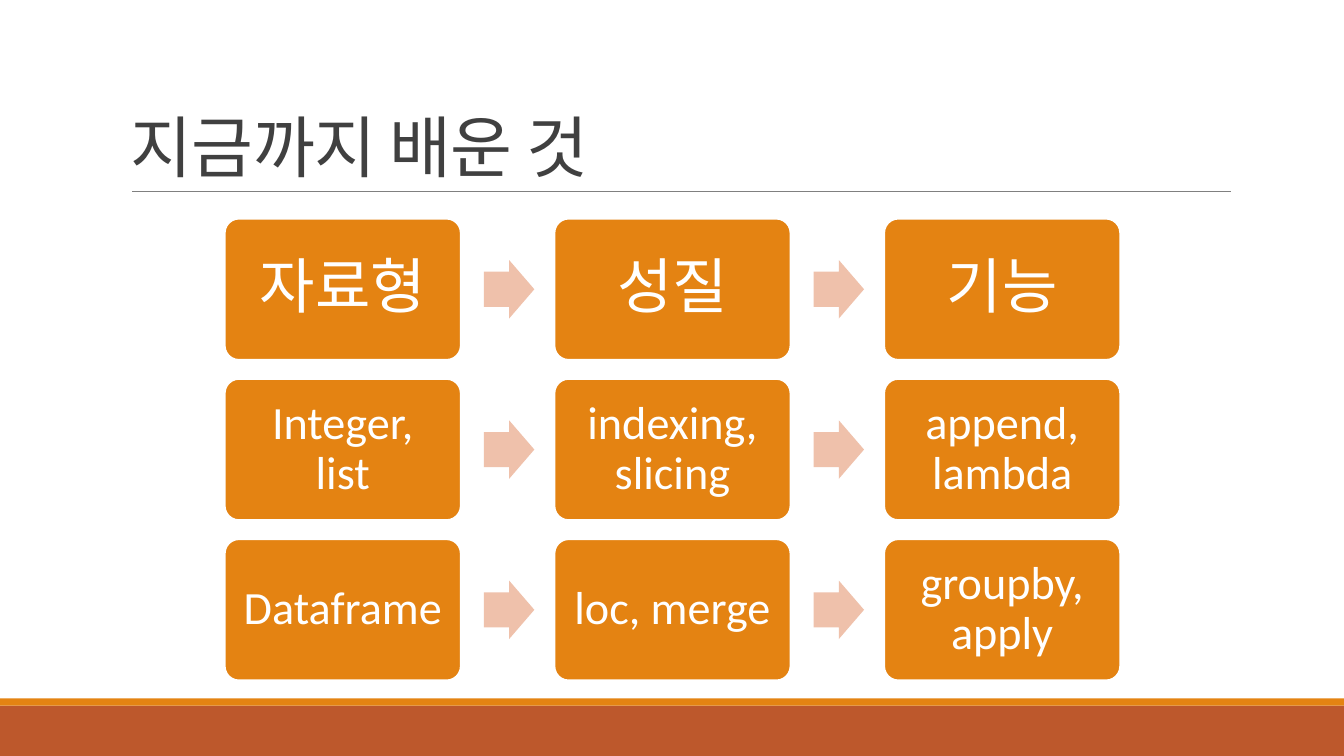
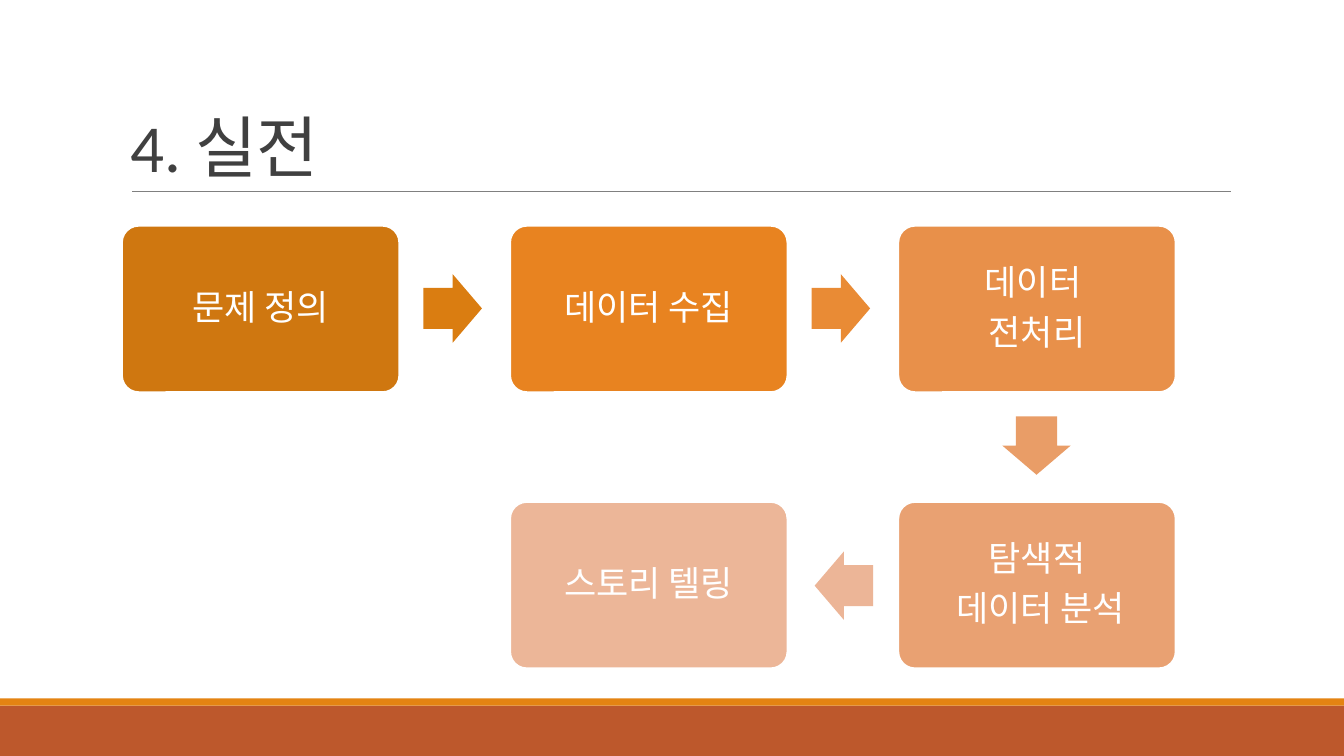
from pptx import Presentation
from pptx.dml.color import RGBColor
from pptx.enum.shapes import MSO_CONNECTOR as Link, MSO_SHAPE as Kind
from pptx.enum.text import MSO_ANCHOR as Anchor, PP_ALIGN as Align
from pptx.oxml.ns import qn
from pptx.util import Inches, Pt
from lxml.etree import SubElement

FONT = "Calibri"
HUES = {
    "rust": "BD582C", "gold": "E48312", "rule": "808080", "title": "404040",
    "white": "FFFFFF", "blush": "EFC1AB",
}

deck = Presentation()
deck.slide_width = Inches(13.33)
deck.slide_height = Inches(7.5)


def add_block(slide, kind, x, y, w, h, fill, edge=None):
    block = slide.shapes.add_shape(kind, Inches(x), Inches(y), Inches(w), Inches(h))
    block.shadow.inherit = False
    block.fill.solid()
    block.fill.fore_color.rgb = RGBColor.from_string(fill)
    if edge:
        block.line.color.rgb = RGBColor.from_string(edge)
        block.line.width = Pt(1.25)
    else:
        block.line.fill.background()
    if kind == Kind.RIGHT_ARROW:
        block.adjustments[0] = 0.6
        block.adjustments[1] = 0.5
    return block


def add_card(slide, x, y, w, h, fill, text, size, inset):
    card = add_block(slide, Kind.ROUNDED_RECTANGLE, x, y, w, h, fill, HUES["white"])
    card.adjustments[0] = 0.1
    frame = card.text_frame
    frame.word_wrap = True
    frame.vertical_anchor = Anchor.MIDDLE
    frame.margin_left = frame.margin_right = Inches(inset)
    frame.margin_top = frame.margin_bottom = Inches(inset)
    frame.text = text
    for para in frame.paragraphs:
        para.alignment = Align.CENTER
        para.line_spacing = 0.9
        after = SubElement(para._p.get_or_add_pPr(), qn("a:spcAft"))
        SubElement(after, qn("a:spcPct")).set("val", "35000")
        para.font.name = FONT
        para.font.size = Pt(size)
        para.font.color.rgb = RGBColor.from_string(HUES["white"])


slides = []
for title in ["지금까지 배운 것", "4. 실전"]:
    slide = deck.slides.add_slide(deck.slide_layouts[6])
    slides.append(slide)
    add_block(slide, Kind.RECTANGLE, 0, 7, 13.33, 0.5, HUES["rust"])
    add_block(slide, Kind.RECTANGLE, 0, 6.93, 13.33, 0.07, HUES["gold"])
    rule = slide.shapes.add_connector(
        Link.STRAIGHT, Inches(1.31), Inches(1.9), Inches(12.21), Inches(1.9))
    rule.line.color.rgb = RGBColor.from_string(HUES["rule"])
    rule.line.width = Pt(0.5)
    SubElement(rule._element.spPr, qn("a:effectLst"))
    box = slide.shapes.add_textbox(Inches(1.2), Inches(0.31), Inches(11), Inches(1.59))
    frame = box.text_frame
    frame.word_wrap = True
    frame.vertical_anchor = Anchor.BOTTOM
    frame.text = title
    para = frame.paragraphs[0]
    para.line_spacing = 0.85
    para.font.name = FONT
    para.font.size = Pt(48)
    para.font.color.rgb = RGBColor.from_string(HUES["title"])
    para.runs[0]._r.get_or_add_rPr().set("spc", "-50")

learned, steps = slides

rows = [
    (["자료형", "성질", "기능"], 43, 0.18),
    (["Integer, list", "indexing, slicing", "append, lambda"], 33, 0.14),
    (["Dataframe", "loc, merge", "groupby, apply"], 33, 0.14),
]
for row, (words, size, inset) in enumerate(rows):
    y = 2.17 + 1.59 * row
    for col, text in enumerate(words):
        x = 2.23 + 3.27 * col
        add_card(learned, x, y, 2.34, 1.4, HUES["gold"], text, size, inset)
        if col < 2:
            add_block(learned, Kind.RIGHT_ARROW, x + 2.57, y + 0.41, 0.5, 0.58, HUES["blush"])

flow = [
    (0, 0, "CF7710", "문제 정의"),
    (1, 0, "E88320", "데이터 수집"),
    (2, 0, "E8904A", "데이터 \n전처리"),
    (2, 1, "E9A172", "탐색적\n 데이터 분석"),
    (1, 1, "ECB698", "스토리 텔링"),
]
for col, row, fill, text in flow:
    add_card(steps, 1.21 + 3.85 * col, 2.24 + 2.74 * row, 2.75, 1.65, fill, text, 25, 0.1)

turns = [
    (4.2, 2.72, 0, "DA7D11"),
    (8.05, 2.72, 0, "E98B35"),
    (9.99, 4.08, 90, "E99D67"),
    (8.08, 5.47, 180, "ECB597"),
]
for x, y, turn, fill in turns:
    arrow = add_block(steps, Kind.RIGHT_ARROW, x, y, 0.58, 0.68, fill)
    arrow.rotation = turn

deck.save("out.pptx")
